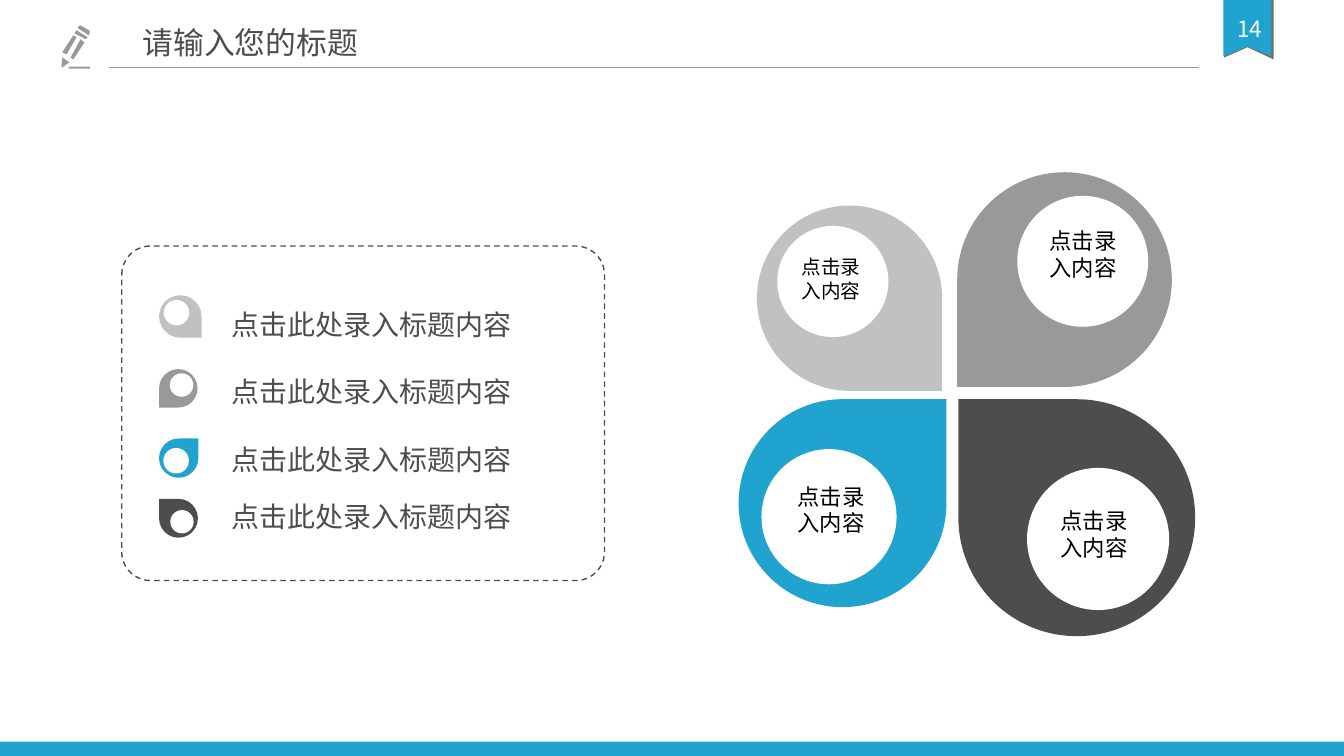
from dataclasses import dataclass

from lxml.etree import SubElement
from pptx import Presentation
from pptx.dml.color import RGBColor
from pptx.enum.dml import MSO_LINE
from pptx.enum.shapes import MSO_CONNECTOR, MSO_SHAPE as Shape
from pptx.enum.text import MSO_AUTO_SIZE as AutoSize, PP_ALIGN as Align
from pptx.oxml.ns import qn
from pptx.util import Cm, Pt


@dataclass(frozen=True)
class Theme:
    """Colours, font and type sizes of the slide."""
    blue: str = "21A3D0"
    dark: str = "4D4D4D"
    mid: str = "999999"
    light: str = "C2C1C1"
    fold: str = "746D62"
    white: str = "FFFFFF"
    off_white: str = "F8F8F8"
    black: str = "000000"
    font: str = "Noto Sans CJK SC"
    title: int = 22
    label: int = 20
    caption: int = 16
    small: int = 14
    leading: float = 1.2


@dataclass(frozen=True)
class Petal:
    """A petal, its hole in shares of its size, its caption and legend row."""
    color: str
    turn: int
    hole: tuple
    place: tuple
    caption: tuple
    caption_size: int
    icon: tuple
    label_top: float


THEME = Theme()
CAPTION = "点击录\n入内容"
LABEL = "点击此处录入标题内容"
PETALS = [
    Petal(THEME.light, 90, (0.11, 0.11, 0.6), (19.08, 5.18, 4.67),
          (19.81, 6.3, 2.28, 1.45), THEME.small, (4.01, 7.44, 1.07), 7.62),
    Petal(THEME.mid, 180, (0.28, 0.11, 0.61), (24.13, 4.34, 5.41),
          (26.06, 5.59, 2.48, 1.63), THEME.caption, (4.01, 9.3, 0.97), 9.3),
    Petal(THEME.blue, 0, (0.11, 0.24, 0.65), (18.62, 10.06, 5.24),
          (19.71, 12.04, 2.48, 1.63), THEME.caption, (4.01, 11.05, 0.99), 11.02),
    Petal(THEME.dark, 270, (0.29, 0.29, 0.6), (24.16, 10.06, 5.97),
          (26.34, 12.65, 2.48, 1.63), THEME.caption, (4.01, 12.57, 0.98), 12.45),
]
RIBBON_FOLD = [(32.11, 1.5), (31.45, 1.19), (30.86, 1.45), (30.86, 0), (32.11, 0)]
RIBBON = [(32.05, 1.42), (31.45, 1.17), (30.84, 1.42), (30.84, 0), (32.05, 0)]
PENCIL = [
    [(1.73, 1.68), (2.27, 1.68), (2.27, 1.73), (1.73, 1.73)],
    [(1.78, 1.45), (2.03, 0.99), (2.13, 1.07), (1.85, 1.5)],
    [(1.57, 1.32), (1.85, 0.89), (1.93, 0.94), (1.68, 1.37)],
    [(1.55, 1.68), (1.57, 1.45), (1.75, 1.57), (1.57, 1.7)],
    [(1.93, 0.76), (1.88, 0.84), (2.16, 0.99), (2.21, 0.94)],
    [(1.98, 0.66), (2.02, 0.64), (2.06, 0.66), (2.24, 0.76),
     (2.27, 0.8), (2.26, 0.84), (2.24, 0.89), (1.96, 0.71)],
]


def rgb(color):
    """Turn a hex string into a colour."""
    return RGBColor.from_string(color)


def paint(shape, color):
    """Give a shape a flat fill without line or shadow."""
    shape.shadow.inherit = False
    shape.fill.solid()
    shape.fill.fore_color.rgb = rgb(color)
    shape.line.fill.background()


def add_flat(page, kind, place, color):
    """Add a flat preset shape."""
    shape = page.shapes.add_shape(kind, *map(Cm, place))
    paint(shape, color)
    return shape


def add_outline(page, contours, color):
    """Add one flat freeform made of closed polygons."""
    contours = [[(round(x * 100), round(y * 100)) for x, y in contour] for contour in contours]
    builder = page.shapes.build_freeform(*contours[0][0], scale=Cm(0.01))
    for number, contour in enumerate(contours):
        if number:
            builder.move_to(*contour[0])
        builder.add_line_segments(contour[1:], close=True)
    paint(builder.convert_to_shape(), color)


def add_text(page, place, text, size, color, align=Align.CENTER):
    """Add an unwrapped text box in the theme font."""
    box = page.shapes.add_textbox(*map(Cm, place))
    frame = box.text_frame
    frame.word_wrap = False
    frame.auto_size = AutoSize.SHAPE_TO_FIT_TEXT
    frame.text = text
    for para in frame.paragraphs:
        para.alignment = align
        para.line_spacing = Pt(size * THEME.leading)
        for span in para.runs:
            span.font.size = Pt(size)
            span.font.name = THEME.font
            span.font.color.rgb = rgb(color)
            SubElement(span.font._element, qn("a:ea"), typeface=THEME.font)


def add_petal(page, petal, place):
    """Add a teardrop with its round white hole."""
    left, top, size = place
    across, down, share = petal.hole
    drop = add_flat(page, Shape.TEAR, (left, top, size, size), petal.color)
    drop.rotation = petal.turn
    hole = (left + across * size, top + down * size, share * size, share * size)
    add_flat(page, Shape.OVAL, hole, THEME.white)


def add_header(page):
    """Add the page ribbon, title, pencil, rule and bottom band."""
    add_outline(page, [RIBBON_FOLD], THEME.fold)
    add_outline(page, [RIBBON], THEME.blue)
    add_text(page, (29.9, 0.25, 3.2, 1.07), "14", THEME.caption, THEME.off_white)
    add_flat(page, Shape.RECTANGLE, (0, 18.69, 33.88, 0.36), THEME.blue)
    add_text(page, (3.35, 0.48, 6.3, 1.19), "请输入您的标题",
             THEME.title, THEME.dark, Align.LEFT)
    add_outline(page, PENCIL, THEME.mid)
    rule = page.shapes.add_connector(MSO_CONNECTOR.STRAIGHT, *map(Cm, (30.23, 1.7, 2.74, 1.7)))
    rule.line.color.rgb = rgb(THEME.mid)
    rule.line.width = Pt(0.75)
    SubElement(rule._element.spPr, qn("a:effectLst"))


def add_legend_frame(page):
    """Add the dashed rounded frame around the legend."""
    frame = page.shapes.add_shape(Shape.ROUNDED_RECTANGLE, *map(Cm, (3.07, 6.2, 12.17, 8.43)))
    frame.adjustments[0] = 0.086
    frame.shadow.inherit = False
    frame.fill.background()
    frame.line.color.rgb = rgb(THEME.dark)
    frame.line.width = Pt(1)
    frame.line.dash_style = MSO_LINE.DASH


def main():
    """Build the slide and save it."""
    deck = Presentation()
    deck.slide_width, deck.slide_height = Cm(33.88), Cm(19.05)
    page = deck.slides.add_slide(deck.slide_layouts[6])
    add_header(page)
    add_legend_frame(page)
    for petal in PETALS:
        add_petal(page, petal, petal.icon)
        add_text(page, (5.08, petal.label_top, 8.56, 1.12), LABEL, THEME.label, THEME.dark)
        add_petal(page, petal, petal.place)
        add_text(page, petal.caption, CAPTION, petal.caption_size, THEME.black)
    deck.save("out.pptx")


if __name__ == "__main__":
    main()
